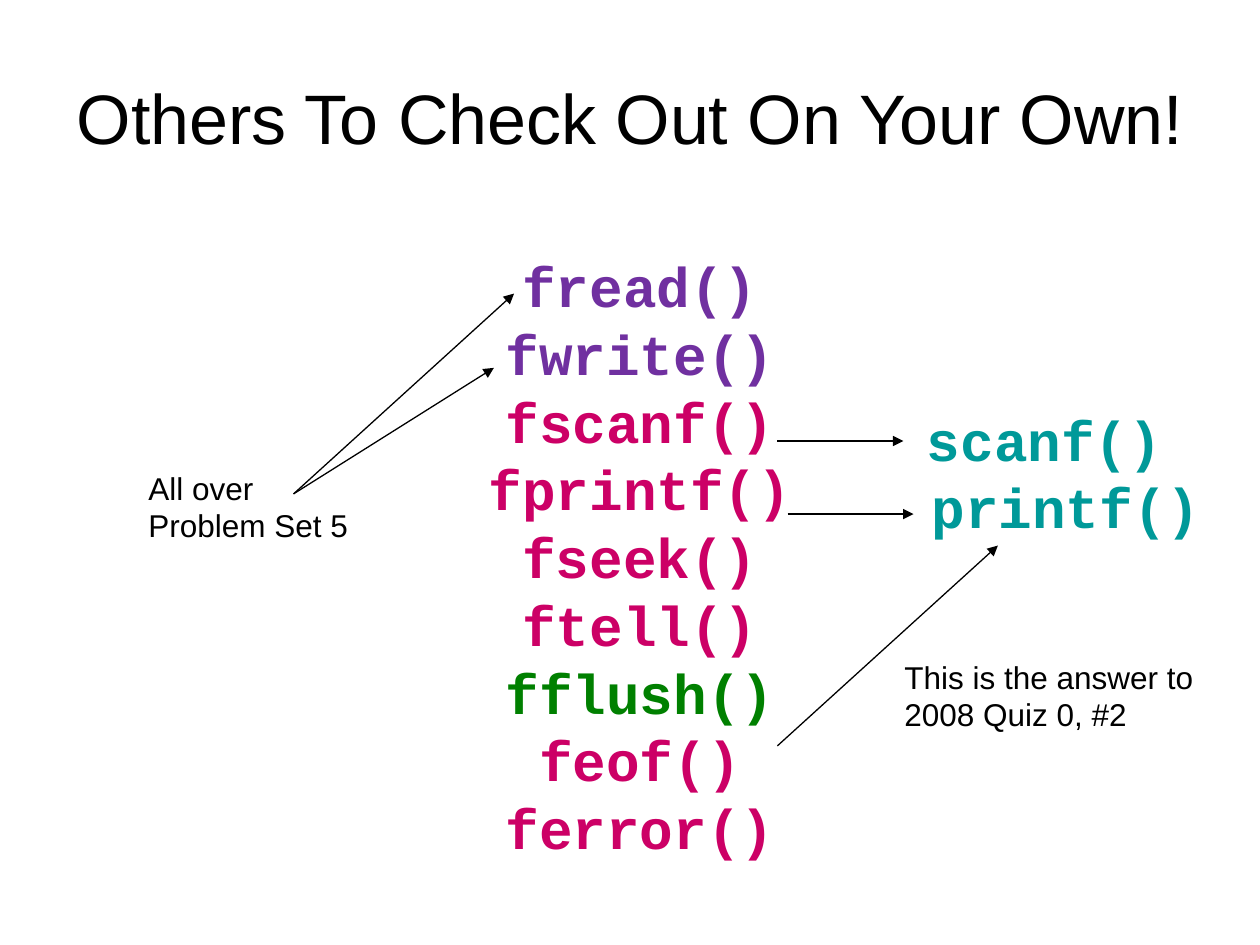
from lxml import etree
from pptx import Presentation
from pptx.dml.color import RGBColor
from pptx.enum.shapes import MSO_CONNECTOR
from pptx.enum.text import MSO_ANCHOR, PP_ALIGN
from pptx.oxml.ns import qn
from pptx.util import Inches, Pt

STRAIGHT = MSO_CONNECTOR.STRAIGHT
MIDDLE = MSO_ANCHOR.MIDDLE
LEFT, CENTER = PP_ALIGN.LEFT, PP_ALIGN.CENTER

COLORS = {
    "black": "000000",
    "purple": "7030A0",
    "pink": "CC0066",
    "green": "008000",
    "teal": "009999",
}
BODY_FONT, CODE_FONT = "Arial", "Courier New"
TITLE_ONLY = 5

FILE_FUNCTIONS = [
    ("fread()", "purple"),
    ("fwrite()", "purple"),
    ("fscanf()", "pink"),
    ("fprintf()", "pink"),
    ("fseek()", "pink"),
    ("ftell()", "pink"),
    ("fflush()", "green"),
    ("feof()", "pink"),
    ("ferror()", "pink"),
]
CONSOLE_FUNCTIONS = [
    ("scanf()", (6.83, 3.17, 2.92, 0.64)),
    ("printf()", (7, 3.7, 2.92, 0.64)),
]
NOTES = [
    ("All over Problem Set 5", (1.08, 3.67, 1.83, 0.7)),
    ("This is the answer to 2008 Quiz 0, #2", (7.08, 5.17, 2.67, 0.7)),
]
ARROWS = [
    ((2.33, 3.92), (4.08, 2.33)),
    ((2.33, 3.92), (3.92, 2.92)),
    ((6.17, 3.5), (7.17, 3.5)),
    ((6.25, 4.08), (7.25, 4.08)),
    ((6.17, 5.92), (7.92, 4.33)),
]


def add_span(para, text, size, color, font=BODY_FONT, bold=False):
    span = para.add_run()
    span.text = text
    span.font.size = Pt(size)
    span.font.name = font
    span.font.bold = bold
    span.font.color.rgb = RGBColor.from_string(COLORS[color])


def add_text_frame(page, area):
    box = page.shapes.add_textbox(*map(Inches, area))
    box.text_frame.word_wrap = True
    return box.text_frame


def set_title(page, text, area):
    title = page.shapes.title
    title.left, title.top, title.width, title.height = map(Inches, area)
    title.text_frame.vertical_anchor = MIDDLE
    para = title.text_frame.paragraphs[0]
    para.alignment = CENTER
    add_span(para, text, 40, "black")


def add_code_list(page, entries, area):
    """Stack function names, one centred line each."""
    frame = add_text_frame(page, area)
    for index, (name, color) in enumerate(entries):
        para = frame.add_paragraph() if index else frame.paragraphs[0]
        para.alignment = CENTER
        para.line_spacing = 0.8
        para.space_before = Pt(8 if index else 0)
        add_span(para, name, 32, color, CODE_FONT, bold=True)


def add_code_label(page, name, area):
    para = add_text_frame(page, area).paragraphs[0]
    para.alignment = CENTER
    add_span(para, name, 32, "teal", CODE_FONT, bold=True)


def add_note(page, text, area):
    para = add_text_frame(page, area).paragraphs[0]
    para.alignment = LEFT
    add_span(para, text, 18, "black")


def add_arrow(page, start, end):
    arrow = page.shapes.add_connector(STRAIGHT, *map(Inches, start + end))
    arrow.line.width = Pt(0.75)
    arrow.line.color.rgb = RGBColor.from_string(COLORS["black"])
    etree.SubElement(arrow.line._get_or_add_ln(), qn("a:tailEnd"), type="triangle")
    etree.SubElement(arrow._element.spPr, qn("a:effectLst"))


def main():
    deck = Presentation()
    deck.slide_width, deck.slide_height = Inches(10), Inches(7.5)
    page = deck.slides.add_slide(deck.slide_layouts[TITLE_ONLY])

    set_title(page, "Others To Check Out On Your Own!", (0.5, 0.3, 9, 1.25))
    add_code_list(page, FILE_FUNCTIONS, (3.58, 2.05, 3, 4.95))
    for name, area in CONSOLE_FUNCTIONS:
        add_code_label(page, name, area)
    for text, area in NOTES:
        add_note(page, text, area)
    for start, end in ARROWS:
        add_arrow(page, start, end)

    deck.save("out.pptx")


if __name__ == "__main__":
    main()
